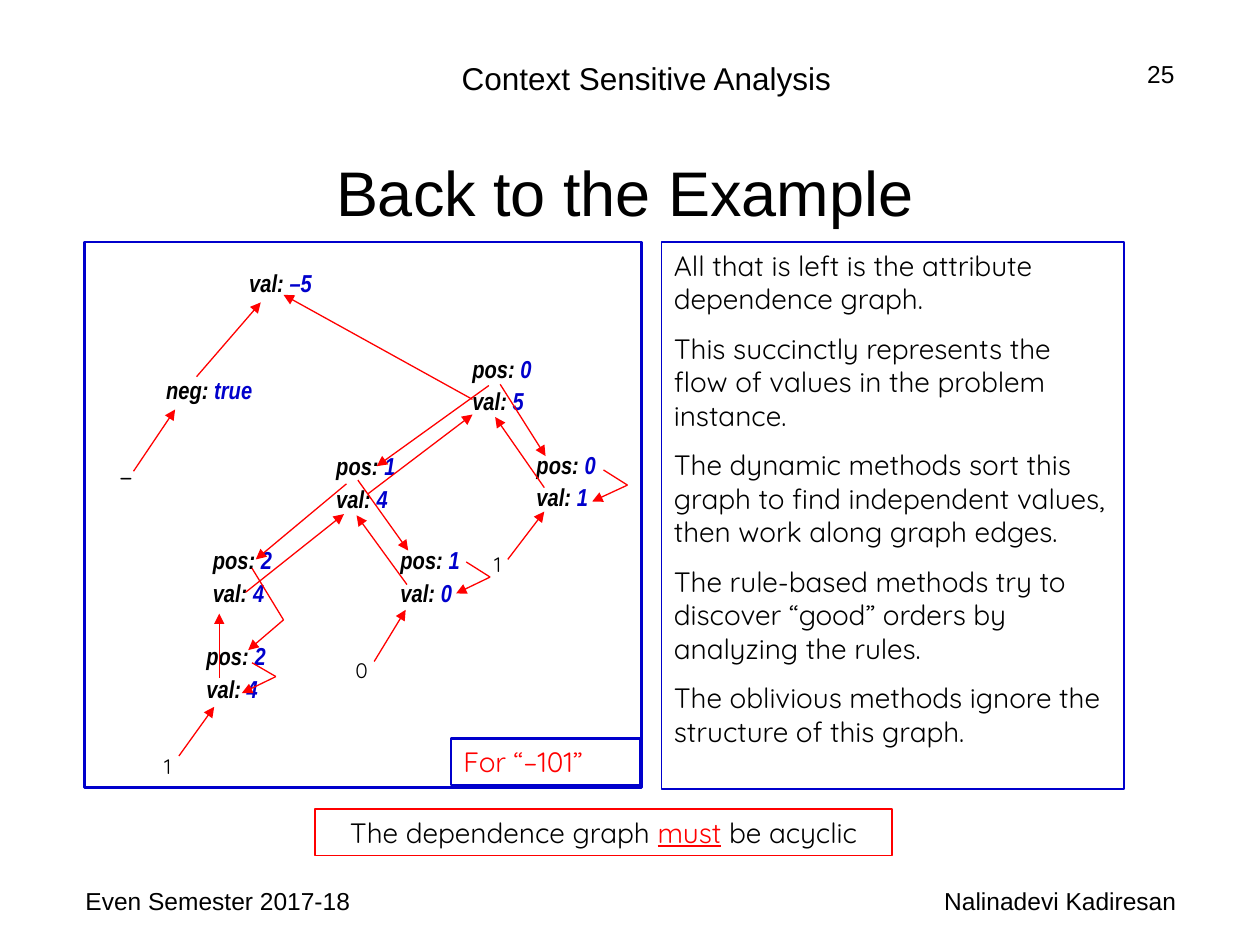
from itertools import pairwise

from lxml.etree import SubElement
from pptx import Presentation
from pptx.dml.color import RGBColor
from pptx.enum.shapes import MSO_CONNECTOR as Connector, MSO_SHAPE as Shape
from pptx.enum.text import MSO_ANCHOR as Anchor, PP_ALIGN as Align
from pptx.oxml.ns import qn
from pptx.util import Inches, Pt

BLACK, BLUE, RED = "000000", "0000CC", "FF0000"


def color(value):
    """Return the colour for a hex string."""
    return RGBColor.from_string(value)


class SlideBuilder:
    """Hold the style and the current slide."""

    heading_font = "Arial"
    body_font = "Quicksand"
    node_font = "Arial Narrow"

    def __init__(self, slide):
        self.slide = slide

    def add_text(self, frame, paragraphs, size, font, align=Align.LEFT, space=0, slanted=False):
        """Fill a frame with paragraphs of (text, colour) runs."""
        frame.word_wrap = True
        for index, runs in enumerate(paragraphs):
            paragraph = frame.paragraphs[0] if index == 0 else frame.add_paragraph()
            paragraph.alignment = align
            paragraph.space_before = Pt(space if index else 0)
            for text, value in runs:
                run = paragraph.add_run()
                run.text = text
                run.font.name = font
                run.font.size = Pt(size)
                run.font.color.rgb = color(value)
                if slanted:
                    run.font.bold = run.font.italic = True
                if text == "must":
                    run.font.underline = True

    def title(self, text, left, top, width, height):
        """Place the title."""
        shape = self.slide.shapes.title
        shape.left, shape.top = Inches(left), Inches(top)
        shape.width, shape.height = Inches(width), Inches(height)
        shape.text_frame.vertical_anchor = Anchor.MIDDLE
        self.add_text(shape.text_frame, [[(text, BLACK)]], 36, self.heading_font, Align.CENTER)

    def label(self, text, left, top, width, height, size, font, align):
        """Add a single line of black text."""
        shape = self.slide.shapes.add_textbox(
            Inches(left), Inches(top), Inches(width), Inches(height))
        self.add_text(shape.text_frame, [[(text, BLACK)]], size, font, align)

    def node(self, left, top, width, attributes):
        """Add a tree node with its attribute values."""
        height = 0.34 if len(attributes) == 1 else 0.59
        shape = self.slide.shapes.add_textbox(
            Inches(left), Inches(top), Inches(width), Inches(height))
        paragraphs = [[(f"{name}: ", BLACK), (value, BLUE)] for name, value in attributes]
        self.add_text(shape.text_frame, paragraphs, 14, self.node_font, space=1.8, slanted=True)

    def edge(self, *points):
        """Draw a dependence through the points, with an arrowhead at the last."""
        for start, end in pairwise(points):
            line = self.slide.shapes.add_connector(
                Connector.STRAIGHT, *(Inches(value) for value in start + end))
            line.line.color.rgb = color(RED)
            line.line.width = Pt(0.75)
            properties = line._element.spPr
            SubElement(properties, qn("a:effectLst"))
        SubElement(properties.find(qn("a:ln")), qn("a:tailEnd"), type="triangle")

    def frame(self, left, top, width, height, outline, weight, paragraphs=(),
              align=Align.LEFT, space=0):
        """Add an outlined rectangle, with text if given."""
        shape = self.slide.shapes.add_shape(
            Shape.RECTANGLE, Inches(left), Inches(top), Inches(width), Inches(height))
        shape.shadow.inherit = False
        shape.fill.background()
        shape.line.color.rgb = color(outline)
        shape.line.width = Pt(weight)
        shape.text_frame.vertical_anchor = Anchor.TOP
        self.add_text(shape.text_frame, paragraphs, 16, self.body_font, align, space)


LEAVES = [
    ("–", 0.75, 3.59, 0.5, 0.37, 16),
    ("1", 3.74, 4.33, 0.42, 0.3, 12),
    ("0", 2.66, 5.17, 0.42, 0.3, 12),
    ("1", 1.18, 5.93, 0.3, 0.3, 12),
]
NODES = [
    (1.88, 2.08, 1.04, [("val", "–5")]),
    (1.22, 2.93, 0.95, [("neg", "true")]),
    (3.65, 2.76, 0.85, [("pos", "0"), ("val", "5")]),
    (2.57, 3.53, 0.85, [("pos", "1"), ("val", "4")]),
    (4.16, 3.52, 0.84, [("pos", "0"), ("val", "1")]),
    (1.59, 4.28, 0.91, [("pos", "2"), ("val", "4")]),
    (3.08, 4.28, 0.92, [("pos", "1"), ("val", "0")]),
    (1.54, 5.04, 1.46, [("pos", "2"), ("val", "4")]),
]
EDGES = [
    [(1.06, 3.74), (1.39, 3.25)],
    [(1.56, 2.99), (2.07, 2.4)],
    [(3.75, 3.17), (2.25, 2.34)],
    [(3.88, 3.06), (2.99, 3.7)],
    [(2.92, 3.92), (3.75, 3.29)],
    [(3.97, 3.05), (4.33, 3.62)],
    [(4.32, 3.87), (3.93, 3.31)],
    [(4.79, 3.73), (4.98, 3.85), (4.7, 3.98)],
    [(4.03, 4.44), (4.32, 4.06)],
    [(2.75, 3.84), (2.03, 4.44)],
    [(1.95, 4.7), (2.73, 4.08)],
    [(2.84, 3.81), (3.24, 4.37)],
    [(3.23, 4.64), (2.83, 4.09)],
    [(3.7, 4.46), (3.89, 4.58), (3.62, 4.71)],
    [(2.97, 5.25), (3.22, 4.84)],
    [(2, 4.51), (2.25, 4.92), (1.97, 5.16)],
    [(1.74, 5.38), (1.74, 4.87)],
    [(2, 5.26), (2.19, 5.37), (1.92, 5.5)],
    [(1.42, 6), (1.7, 5.61)],
]
REMARKS = [
    "All that is left is the attribute dependence graph.",
    "This succinctly represents the flow of values in the problem instance.",
    "The dynamic methods sort this graph to find independent values, "
    "then work along graph edges.",
    "The rule-based methods try to discover “good” orders by analyzing the rules.",
    "The oblivious methods ignore the structure of this graph.",
]
CONCLUSION = [("The dependence graph ", BLACK), ("must", RED), (" be acyclic", BLACK)]


def main():
    """Build the slide and save it."""
    presentation = Presentation()
    presentation.slide_width, presentation.slide_height = Inches(10), Inches(7.5)
    slide = presentation.slides.add_slide(presentation.slide_layouts[5])
    builder = SlideBuilder(slide)
    heading_font = builder.heading_font

    builder.label("Context Sensitive Analysis", 1.42, 0.42, 7.42, 0.4, 18,
                  heading_font, Align.CENTER)
    builder.title("Back to the Example", 0.25, 1.08, 9.42, 0.88)

    for text, left, top, width, height, size in LEAVES:
        builder.label(text, left, top, width, height, size, builder.body_font, Align.CENTER)
    for node in NODES:
        builder.node(*node)
    for points in EDGES:
        builder.edge(*points)

    builder.frame(0.67, 1.92, 4.42, 4.33, BLUE, 1.5)
    builder.frame(3.58, 5.86, 1.5, 0.37, BLUE, 1.5, [[("For “–101”", RED)]])
    builder.frame(5.25, 1.92, 3.67, 4.34, BLUE, 1,
                  [[(remark, BLACK)] for remark in REMARKS], space=9)
    builder.frame(2.5, 6.42, 4.58, 0.37, RED, 0.75, [CONCLUSION], Align.CENTER)

    builder.label("Even Semester 2017-18", 0.58, 6.98, 2.33, 0.52, 14, heading_font, Align.LEFT)
    builder.label("25", 7.67, 0.42, 1.75, 0.52, 14, heading_font, Align.RIGHT)
    builder.label("Nalinadevi Kadiresan", 6.83, 6.98, 3.17, 0.52, 14, heading_font, Align.CENTER)
    presentation.save("out.pptx")


if __name__ == "__main__":
    main()
